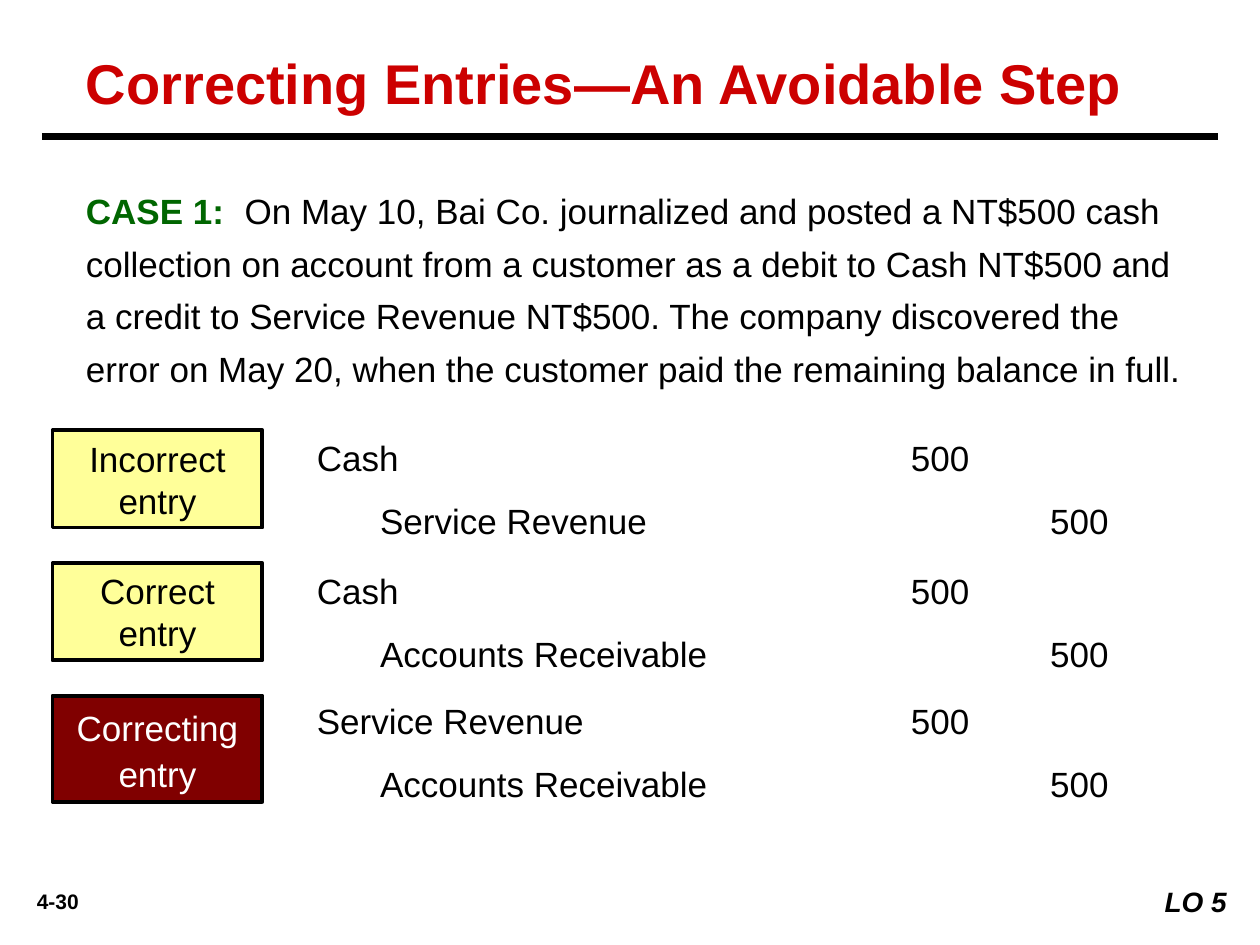
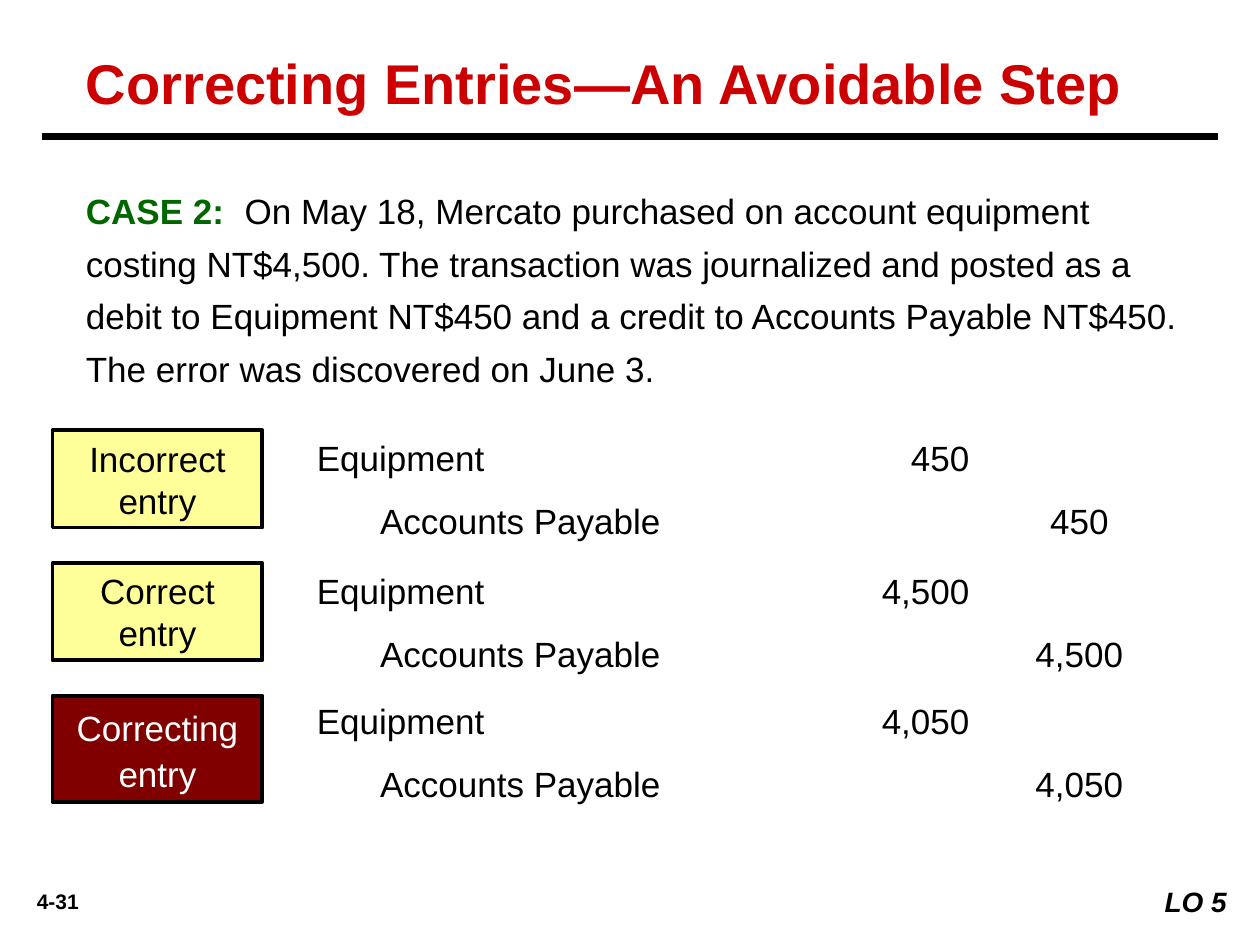
from lxml import etree
from pptx import Presentation
from pptx.dml.color import RGBColor
from pptx.enum.shapes import MSO_CONNECTOR, MSO_SHAPE
from pptx.enum.text import MSO_ANCHOR, PP_ALIGN
from pptx.oxml.ns import qn
from pptx.util import Inches, Pt

LEFT, CENTER, RIGHT = PP_ALIGN.LEFT, PP_ALIGN.CENTER, PP_ALIGN.RIGHT
MIDDLE = MSO_ANCHOR.MIDDLE
RECTANGLE, STRAIGHT = MSO_SHAPE.RECTANGLE, MSO_CONNECTOR.STRAIGHT

BLACK = RGBColor(0x00, 0x00, 0x00)
WHITE = RGBColor(0xFF, 0xFF, 0xFF)
RED = RGBColor(0xCC, 0x00, 0x00)
GREEN = RGBColor(0x00, 0x66, 0x00)
YELLOW = RGBColor(0xFF, 0xFF, 0x99)
MAROON = RGBColor(0x80, 0x00, 0x00)

FONT = "Arial"
BODY_SIZE = 20
LINE_PITCH = 1.2  # line height as a share of the font size
CELL = Inches(1) // 12  # the slide is a grid of 120 columns by 90 rows

# Journal layout: tab stops in inches from the text edge of a debit line
DEBIT_STOP, CREDIT_STOP, CREDIT_INDENT = 5.18, 6.05, 0.5
CASE_STOP = 1.26
CREDIT_DROP = 6  # rows from a debit line to its credit line

TITLE = "Correcting Entries—An Avoidable Step"
OBJECTIVE = "LO 5"

# Label, label row, label height, entry row, fill, text colour, line pitch
ENTRY_KINDS = [
    ("Incorrect\ventry", 41, 9.25, 41, YELLOW, BLACK, LINE_PITCH),
    ("Correct\ventry", 53.65, 9.25, 53.65, YELLOW, BLACK, LINE_PITCH),
    ("Correcting\ventry", 66.25, 10.1, 66, MAROON, WHITE, 1.32),
]

# Page, case, story, then debit account, credit account and amount per entry
CASES = [
    ("4-30", "CASE 1:",
     "On May 10, Bai Co. journalized and posted a NT$500 cash collection on "
     "account from a customer as a debit to Cash NT$500 and a credit to "
     "Service Revenue NT$500. The company discovered the error on May 20, "
     "when the customer paid the remaining balance in full.",
     [("Cash", "Service Revenue", "500"),
      ("Cash", "Accounts Receivable", "500"),
      ("Service Revenue", "Accounts Receivable", "500")]),
    ("4-31", "CASE 2:",
     "On May 18, Mercato purchased on account equipment costing NT$4,500. "
     "The transaction was journalized and posted as a debit to Equipment "
     "NT$450 and a credit to Accounts Payable NT$450. The error was "
     "discovered on June 3.",
     [("Equipment", "Accounts Payable", "450"),
      ("Equipment", "Accounts Payable", "4,500"),
      ("Equipment", "Accounts Payable", "4,050")]),
]


def cells(*counts):
    return [round(count * CELL) for count in counts]


class CaseDeck:
    """Holds the style and the current slide."""

    def __init__(self):
        self.deck = Presentation()
        self.deck.slide_width, self.deck.slide_height = cells(120, 90)
        self.slide = None

    def new_slide(self):
        self.slide = self.deck.slides.add_slide(self.deck.slide_layouts[6])

    def style_run(self, run, size, color, bold=False, italic=False):
        font = run.font
        font.name, font.size, font.color.rgb = FONT, Pt(size), color
        font.bold, font.italic = bold, italic

    def fill_text(self, shape, text, size=BODY_SIZE, color=BLACK, bold=False,
                  italic=False, align=LEFT, pitch=LINE_PITCH, stops=()):
        frame = shape.text_frame
        frame.word_wrap = True
        frame.text = text
        paragraph = frame.paragraphs[0]
        paragraph.alignment = align
        paragraph.line_spacing = Pt(round(size * pitch, 1))
        if stops:
            tabs = etree.SubElement(paragraph._p.get_or_add_pPr(), qn("a:tabLst"))
            for inches, kind in stops:
                etree.SubElement(tabs, qn("a:tab"), pos=str(Inches(inches)), algn=kind)
        for run in paragraph.runs:
            self.style_run(run, size, color, bold, italic)
        return paragraph

    def text(self, place, text, **style):
        box = self.slide.shapes.add_textbox(*cells(*place))
        self.fill_text(box, text, **style)
        return box

    def panel(self, place, text, fill, border=None, inset=0.1, **style):
        panel = self.slide.shapes.add_shape(RECTANGLE, *cells(*place))
        panel.shadow.inherit = False
        panel.fill.solid()
        panel.fill.fore_color.rgb = fill
        if border is None:
            panel.line.fill.background()
        else:
            panel.line.color.rgb = border
            panel.line.width = Pt(2.25)
        frame = panel.text_frame
        frame.margin_left = frame.margin_right = Inches(inset)
        frame.vertical_anchor = MIDDLE
        self.fill_text(panel, text, **style)

    def rule(self, left, right, row):
        rule = self.slide.shapes.add_connector(STRAIGHT, *cells(left, row, right, row))
        rule.line.color.rgb = BLACK
        rule.line.width = Pt(4.5)
        etree.SubElement(rule._element.spPr, qn("a:effectLst"))

    def frame(self, page):
        self.text((1, 84, 9, 3.6), page, size=12, bold=True, align=CENTER)
        self.text((7, 4, 109, 7.3), TITLE, size=32, color=RED, bold=True)
        self.rule(4, 116, 13)
        self.panel((108, 83.65, 10, 4.45), OBJECTIVE, WHITE, size=16,
                   bold=True, italic=True, align=RIGHT)

    def story(self, case, story):
        box = self.text((7, 16.5, 108, 21.4), case, color=GREEN, bold=True,
                        pitch=1.5, stops=[(CASE_STOP, "l")])
        body = box.text_frame.paragraphs[0].add_run()
        body.text = f"\t{story}"
        self.style_run(body, BODY_SIZE, BLACK)

    def journal_line(self, row, text, indent=0):
        stops = [(DEBIT_STOP - indent, "r"), (CREDIT_STOP - indent, "ctr")]
        line = self.text((29, row, 84, 5.4), text, stops=stops)
        line.text_frame.margin_left = Inches(0.1 + indent)

    def entry(self, kind, debit, credit, amount):
        label, label_row, height, row, fill, color, pitch = kind
        self.panel((5, label_row, 20, height), label, fill, border=BLACK,
                   inset=0, color=color, align=CENTER, pitch=pitch)
        self.journal_line(row, f"{debit}\t{amount}")
        self.journal_line(row + CREDIT_DROP, f"{credit}\t\t{amount}", CREDIT_INDENT)


def main():
    cases = CaseDeck()
    for page, case, story, entries in CASES:
        cases.new_slide()
        cases.frame(page)
        cases.story(case, story)
        for kind, entry in zip(ENTRY_KINDS, entries):
            cases.entry(kind, *entry)
    cases.deck.save("out.pptx")


if __name__ == "__main__":
    main()
